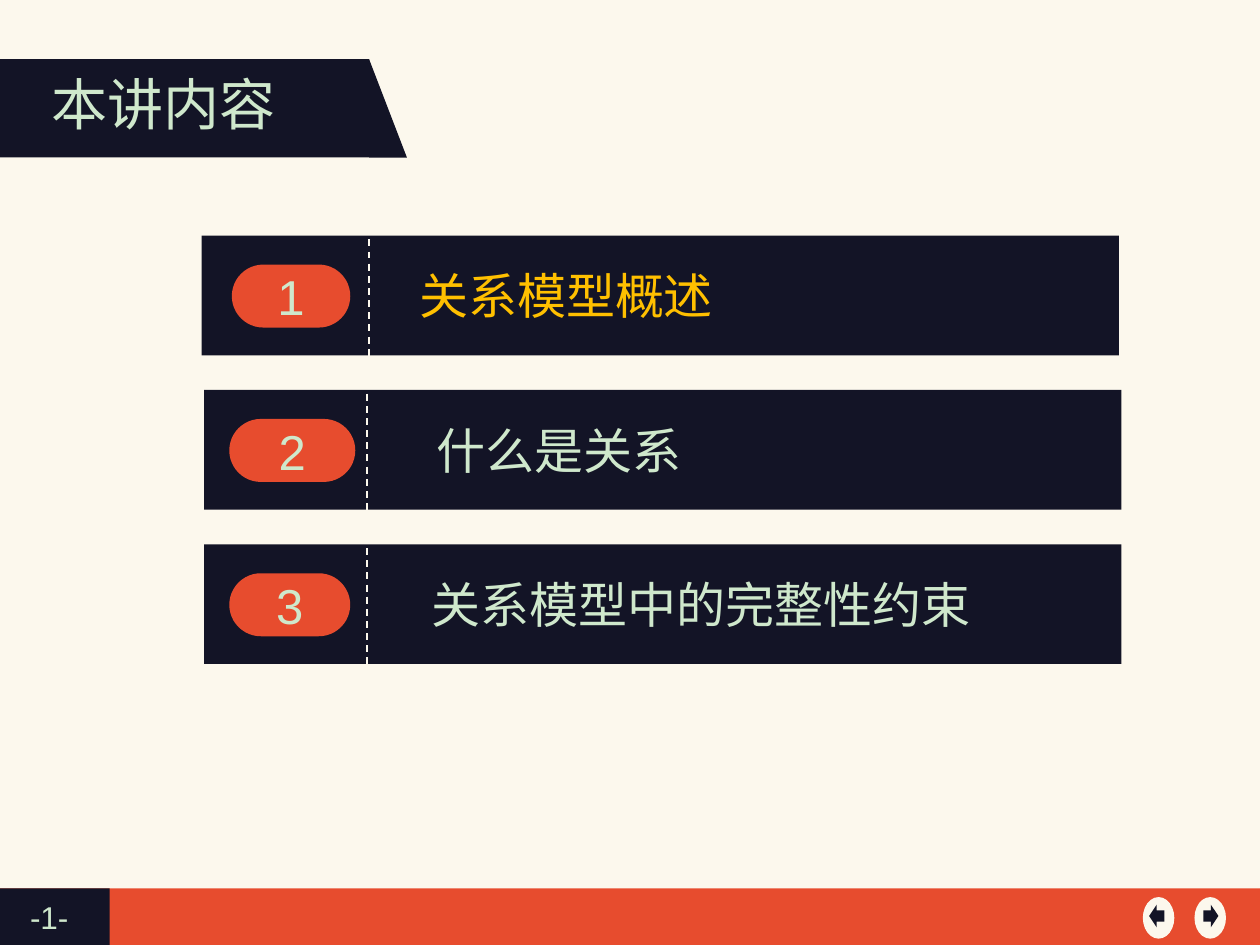
from dataclasses import dataclass

from lxml.etree import SubElement
from pptx import Presentation
from pptx.dml.color import RGBColor
from pptx.enum.dml import MSO_LINE
from pptx.enum.shapes import MSO_CONNECTOR, MSO_SHAPE
from pptx.enum.text import MSO_ANCHOR, PP_ALIGN
from pptx.oxml.ns import qn
from pptx.util import Inches, Pt


@dataclass(frozen=True)
class Theme:
    """Colours, fonts and type sizes of the slide."""
    cream: RGBColor = RGBColor.from_string("FCF8ED")
    navy: RGBColor = RGBColor.from_string("131426")
    orange: RGBColor = RGBColor.from_string("E74C2E")
    mint: RGBColor = RGBColor.from_string("CFE8CC")
    gold: RGBColor = RGBColor.from_string("FFC000")
    latin: str = "Arial"
    chinese: str = "Noto Sans CJK SC"
    heading: int = 32
    topic: int = 28
    page: int = 18


THEME = Theme()


@dataclass(frozen=True)
class Topic:
    """One agenda entry, with horizontal offsets from the left of its bar."""
    title: str
    color: RGBColor
    bar_left: float
    divider: float
    badge: float
    badge_width: float
    text: float
    text_width: float


TOPICS = [
    Topic("关系模型概述", THEME.gold, 1.6, 1.33, 0.24, 0.94, 1.63, 5.13),
    Topic("什么是关系", THEME.mint, 1.62, 1.29, 0.2, 1, 1.75, 4.64),
    Topic("关系模型中的完整性约束", THEME.mint, 1.62, 1.29, 0.2, 0.96, 1.71, 5.46),
]


def add_block(shapes, preset, left, top, width, height, color):
    """Add a flat filled shape without an outline."""
    block = shapes.add_shape(preset, Inches(left), Inches(top), Inches(width), Inches(height))
    block.shadow.inherit = False
    block.fill.solid()
    block.fill.fore_color.rgb = color
    block.line.fill.background()
    return block


def write(frame, text, size, color, font, align=PP_ALIGN.LEFT):
    """Write one styled paragraph into a text frame."""
    frame.word_wrap = True
    paragraph = frame.paragraphs[0]
    paragraph.text = text
    paragraph.alignment = align
    paragraph.font.size = Pt(size)
    paragraph.font.color.rgb = color
    paragraph.font.name = font
    defaults = paragraph._p.pPr.find(qn("a:defRPr"))
    SubElement(defaults, qn("a:ea")).set("typeface", font)


def add_label(shapes, left, top, width, height, *style):
    """Add a text box holding one styled paragraph."""
    label = shapes.add_textbox(Inches(left), Inches(top), Inches(width), Inches(height))
    write(label.text_frame, *style)


def add_heading(slide, left, top, width, height):
    """Draw the heading tab with its slanted end."""
    shapes = slide.shapes.add_group_shape().shapes
    slant = 0.3
    band = width - slant
    add_block(shapes, MSO_SHAPE.RECTANGLE, left, top, band, height, THEME.navy)
    add_block(shapes, MSO_SHAPE.RIGHT_TRIANGLE, left + band, top, slant, height, THEME.navy)
    add_label(shapes, left + 0.31, top + 0.03, 1.98, 0.64,
              "本讲内容", THEME.heading, THEME.mint, THEME.chinese, PP_ALIGN.CENTER)


def add_topic(slide, number, topic, top, width, height):
    """Draw one agenda bar with its divider, number badge and title."""
    shapes, left = slide.shapes, topic.bar_left
    add_block(shapes, MSO_SHAPE.RECTANGLE, left, top, width, height, THEME.navy)

    divider_x = Inches(left + topic.divider)
    divider = shapes.add_connector(MSO_CONNECTOR.STRAIGHT, divider_x, Inches(top + 0.03),
                                   divider_x, Inches(top + height + 0.04))
    divider.line.color.rgb = THEME.cream
    divider.line.width = Pt(1)
    divider.line.dash_style = MSO_LINE.DASH
    SubElement(divider._element.spPr, qn("a:effectLst"))

    badge = add_block(shapes, MSO_SHAPE.ROUNDED_RECTANGLE, left + topic.badge, top + 0.23,
                      topic.badge_width, 0.5, THEME.orange)
    badge.adjustments[0] = 0.5
    badge.text_frame.vertical_anchor = MSO_ANCHOR.MIDDLE
    write(badge.text_frame, str(number), THEME.topic, THEME.mint, THEME.latin, PP_ALIGN.CENTER)
    add_label(shapes, left + topic.text, top + 0.19, topic.text_width, 0.57,
              topic.title, THEME.topic, topic.color, THEME.chinese)


def add_agenda(slide, top, width, bar_height, pitch):
    """Stack the agenda bars at an equal pitch."""
    for index, topic in enumerate(TOPICS):
        add_topic(slide, index + 1, topic, top + index * pitch, width, bar_height)


def add_button(slide, left, top, arrow, arrow_offset):
    """Draw a round navigation button with an arrow."""
    shapes = slide.shapes.add_group_shape().shapes
    add_block(shapes, MSO_SHAPE.OVAL, left, top, 0.25, 0.33, THEME.cream)
    add_block(shapes, arrow, left + arrow_offset, top + 0.06, 0.12, 0.18, THEME.navy)


def add_footer(slide, left, top, width, height):
    """Draw the footer band with page number and navigation buttons."""
    add_block(slide.shapes, MSO_SHAPE.RECTANGLE, left, top, width, height, THEME.orange)
    add_block(slide.shapes, MSO_SHAPE.RECTANGLE, left, top, 0.87, height, THEME.navy)
    add_label(slide.shapes, left + 0.14, top + 0.03, 0.64, 0.4,
              "-1-", THEME.page, THEME.mint, THEME.latin)
    right = left + width
    add_button(slide, right - 0.93, top + 0.07, MSO_SHAPE.LEFT_ARROW, 0.05)
    add_button(slide, right - 0.52, top + 0.07, MSO_SHAPE.RIGHT_ARROW, 0.07)


def main():
    """Build and save the agenda slide."""
    deck = Presentation()
    deck.slide_width, deck.slide_height = Inches(10), Inches(7.5)
    slide = deck.slides.add_slide(deck.slide_layouts[6])
    slide.background.fill.solid()
    slide.background.fill.fore_color.rgb = THEME.cream
    add_footer(slide, 0, 7.05, 10, 0.45)
    add_heading(slide, 0, 0.47, 3.23, 0.78)
    add_agenda(slide, 1.87, 7.28, 0.95, 1.225)
    deck.save("out.pptx")


if __name__ == "__main__":
    main()
